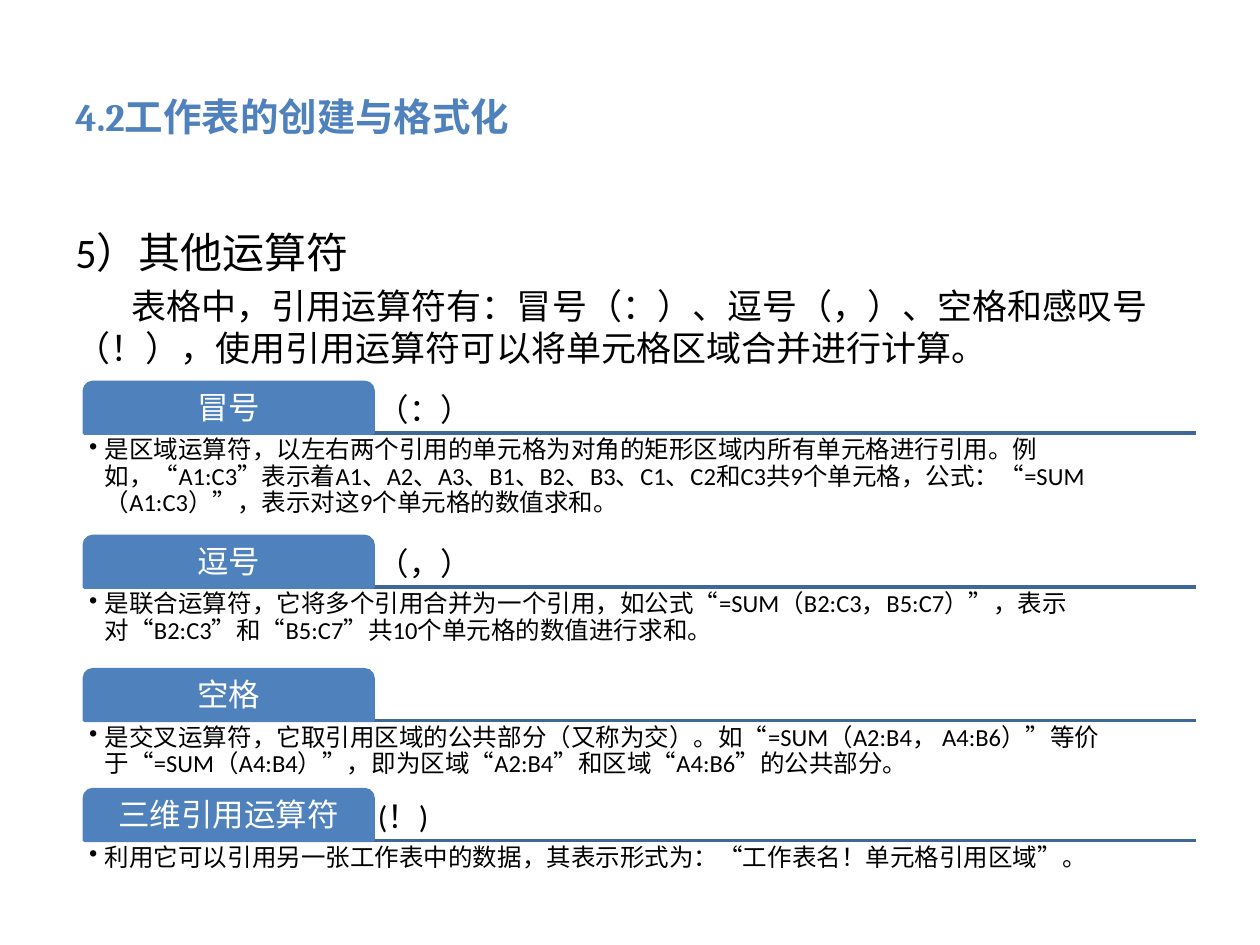
from dataclasses import dataclass

from lxml import etree
from pptx import Presentation, util as u
from pptx.dml.color import RGBColor
from pptx.enum import lang, shapes, text
from pptx.oxml.ns import qn

Pt = u.Pt
BLUE, DARK_BLUE, BLACK, WHITE = "4F81BD", "3F6797", "000000", "FFFFFF"
LEFT, WIDTH = 48.2, 635
TAB_W, TAB_H = 165, 29
INSET = 2.7


@dataclass
class Box:
    left: float
    top: float
    width: float
    height: float


@dataclass
class Style:
    size: float
    color: str = BLACK
    font: str = "Calibri"
    bold: bool = False


@dataclass
class Operator:
    name: str
    symbol: str
    detail: str
    rule_y: float
    detail_h: float


OPERATORS = [
    Operator("冒号", "（：）",
             "是区域运算符，以左右两个引用的单元格为对角的矩形区域内所有单元格进行引用。"
             "例如，“A1:C3”表示着A1、A2、A3、B1、B2、B3、C1、C2和C3共9个单元格，"
             "公式：“=SUM（A1:C3）”，表示对这9个单元格的数值求和。", 247.5, 57.6),
    Operator("逗号", "（，）",
             "是联合运算符，它将多个引用合并为一个引用，如公式“=SUM（B2:C3，B5:C7）”，"
             "表示对“B2:C3”和“B5:C7”共10个单元格的数值进行求和。", 335.5, 45.4),
    Operator("空格", "",
             "是交叉运算符，它取引用区域的公共部分（又称为交）。如“=SUM（A2:B4， A4:B6）”"
             "等价于“=SUM（A4:B4）”，即为区域“A2:B4”和区域“A4:B6”的公共部分。", 411.7, 38.2),
    Operator("三维引用运算符", "(！)",
             "利用它可以引用另一张工作表中的数据，其表示形式为："
             "“工作表名！单元格引用区域”。", 480.2, 57.6),
]


def rgb(value: str) -> RGBColor:
    return RGBColor.from_string(value)


def add_run(p, content: str, style: Style) -> None:
    r = p.add_run()
    r.text = content
    r.font.size = Pt(style.size)
    r.font.name = style.font
    r.font.bold = style.bold
    r.font.color.rgb = rgb(style.color)
    r.font.language_id = lang.MSO_LANGUAGE_ID.SIMPLIFIED_CHINESE


def set_frame(tf, anchor, inset: float | None = None) -> None:
    tf.word_wrap = True
    tf.vertical_anchor = anchor
    if inset is not None:
        tf.margin_left = tf.margin_right = Pt(inset)
        tf.margin_top = tf.margin_bottom = Pt(inset)


def add_text(s, box: Box, anchor, inset: float | None = None):
    sp = s.shapes.add_textbox(Pt(box.left), Pt(box.top), Pt(box.width), Pt(box.height))
    set_frame(sp.text_frame, anchor, inset)
    return sp.text_frame


def set_indent(p, left: float, first: float, bullet: str = "") -> None:
    pPr = p._p.get_or_add_pPr()
    pPr.set("marL", str(Pt(left)))
    pPr.set("indent", str(Pt(first)))
    if bullet:
        etree.SubElement(pPr, qn("a:buChar")).set("char", bullet)


def add_rule(s, y: float) -> None:
    c = s.shapes.add_connector(shapes.MSO_CONNECTOR.STRAIGHT,
                               Pt(LEFT), Pt(y), Pt(LEFT + WIDTH), Pt(y))
    c.line.color.rgb = rgb(DARK_BLUE)
    c.line.width = Pt(2)
    etree.SubElement(c._element.spPr, qn("a:effectLst"))


def add_tab(s, name: str, top: float) -> None:
    sp = s.shapes.add_shape(shapes.MSO_SHAPE.ROUND_2_SAME_RECTANGLE,
                            Pt(LEFT), Pt(top), Pt(TAB_W), Pt(TAB_H))
    sp.adjustments[0] = 0.17
    sp.shadow.inherit = False
    sp.fill.solid()
    sp.fill.fore_color.rgb = rgb(BLUE)
    sp.line.color.rgb = rgb(BLUE)
    sp.line.width = Pt(2)
    set_frame(sp.text_frame, text.MSO_ANCHOR.MIDDLE, INSET)
    p = sp.text_frame.paragraphs[0]
    p.alignment = text.PP_ALIGN.CENTER
    p.line_spacing = 0.9
    add_run(p, name, Style(18, WHITE))


def add_operator(s, op: Operator) -> None:
    top = op.rule_y - TAB_H
    if op.symbol:
        box = Box(LEFT + TAB_W, top, WIDTH - TAB_W, TAB_H)
        p = add_text(s, box, text.MSO_ANCHOR.BOTTOM, INSET).paragraphs[0]
        p.line_spacing = 0.9
        add_run(p, op.symbol, Style(18))
    add_tab(s, op.name, top)
    box = Box(LEFT, op.rule_y, WIDTH, op.detail_h)
    p = add_text(s, box, text.MSO_ANCHOR.TOP, INSET).paragraphs[0]
    set_indent(p, 9, -9, "•")
    p.line_spacing = 0.9
    add_run(p, op.detail, Style(14))


def main() -> None:
    prs = Presentation()
    prs.slide_width, prs.slide_height = Pt(720), Pt(540)
    s = prs.slides.add_slide(prs.slide_layouts[6])

    # Title
    tf = add_text(s, Box(36, 21.6, 648, 90), text.MSO_ANCHOR.MIDDLE)
    add_run(tf.paragraphs[0], "4.2工作表的创建与格式化", Style(22, BLUE, "Cambria", True))

    # Introduction
    tf = add_text(s, Box(36, 126, 648, 356.4), text.MSO_ANCHOR.TOP)
    add_run(tf.paragraphs[0], "5）其他运算符", Style(24))
    p = tf.add_paragraph()
    p.space_before = Pt(4)
    set_indent(p, 0, 32)
    add_run(p, "表格中，引用运算符有：冒号（：）、逗号（，）、空格和感叹号（！），"
               "使用引用运算符可以将单元格区域合并进行计算。", Style(20))

    # Reference operators: rules behind, then tabs and details
    for op in OPERATORS:
        add_rule(s, op.rule_y)
    for op in OPERATORS:
        add_operator(s, op)

    prs.save("out.pptx")


if __name__ == "__main__":
    main()
